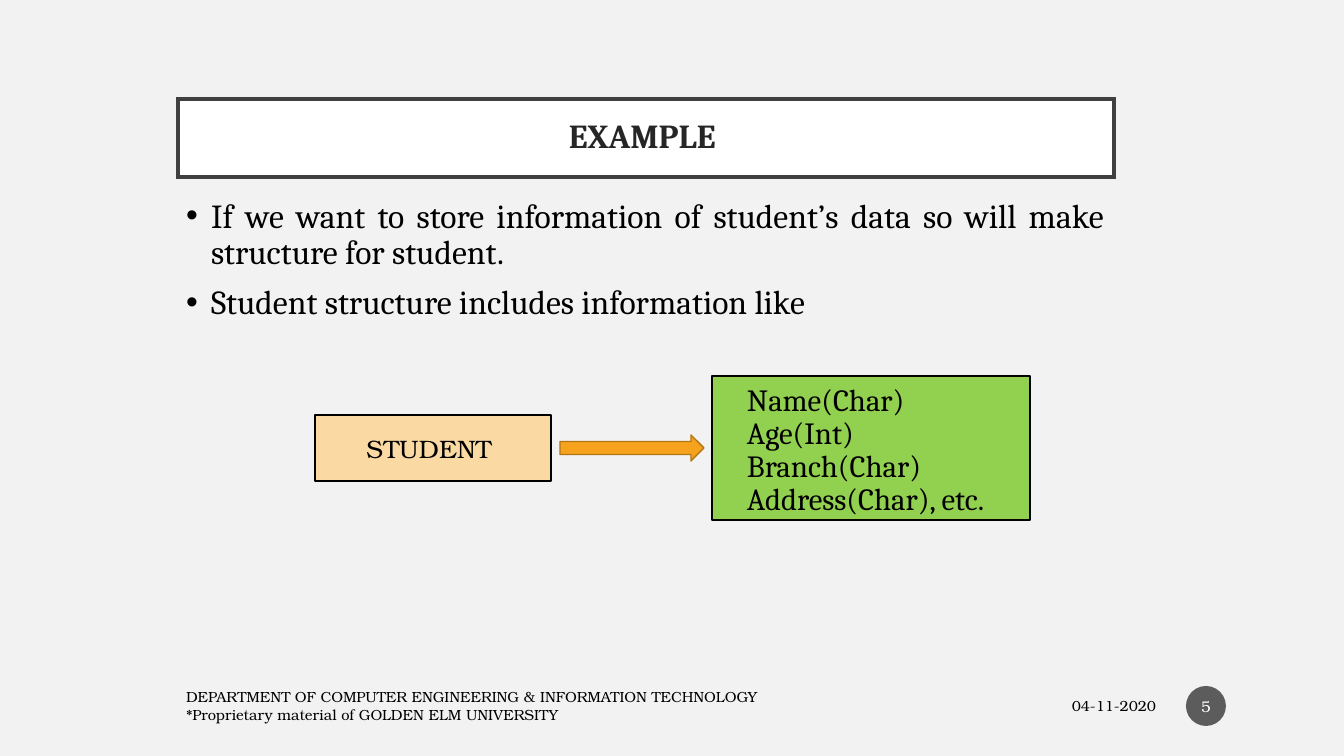
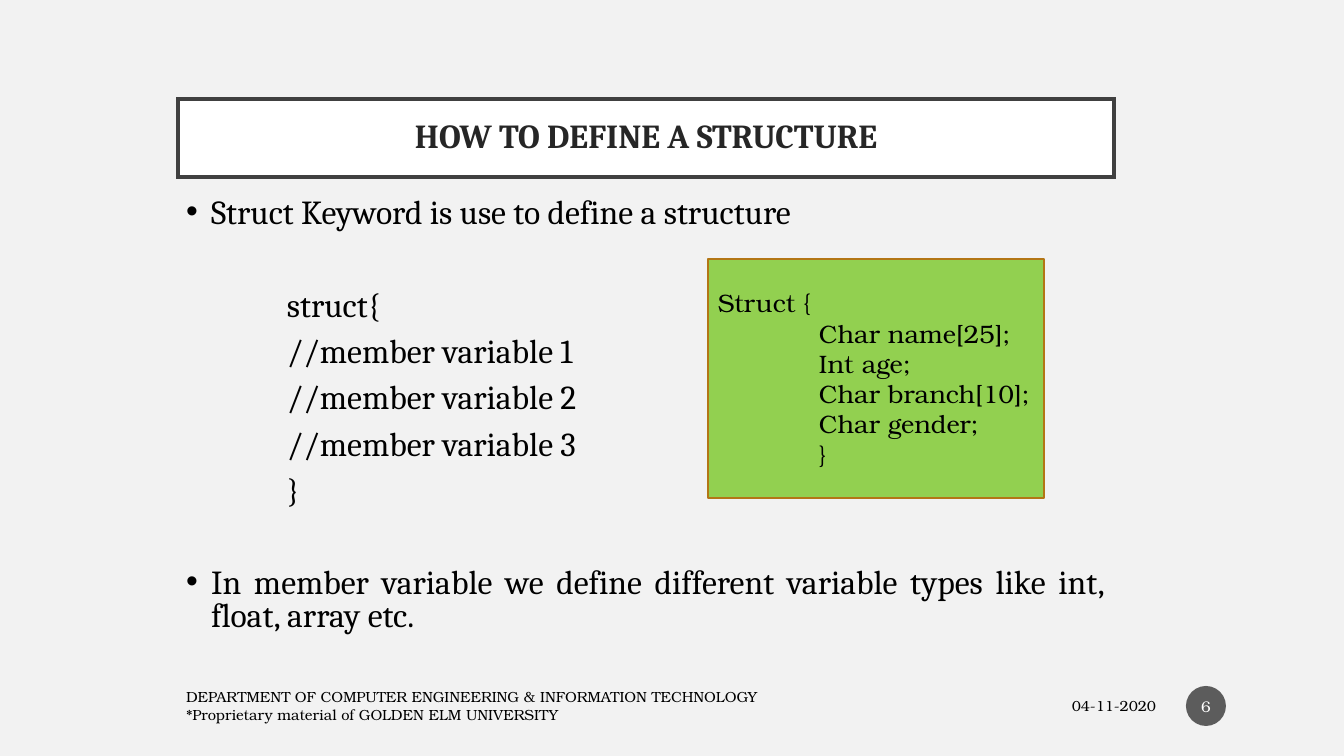
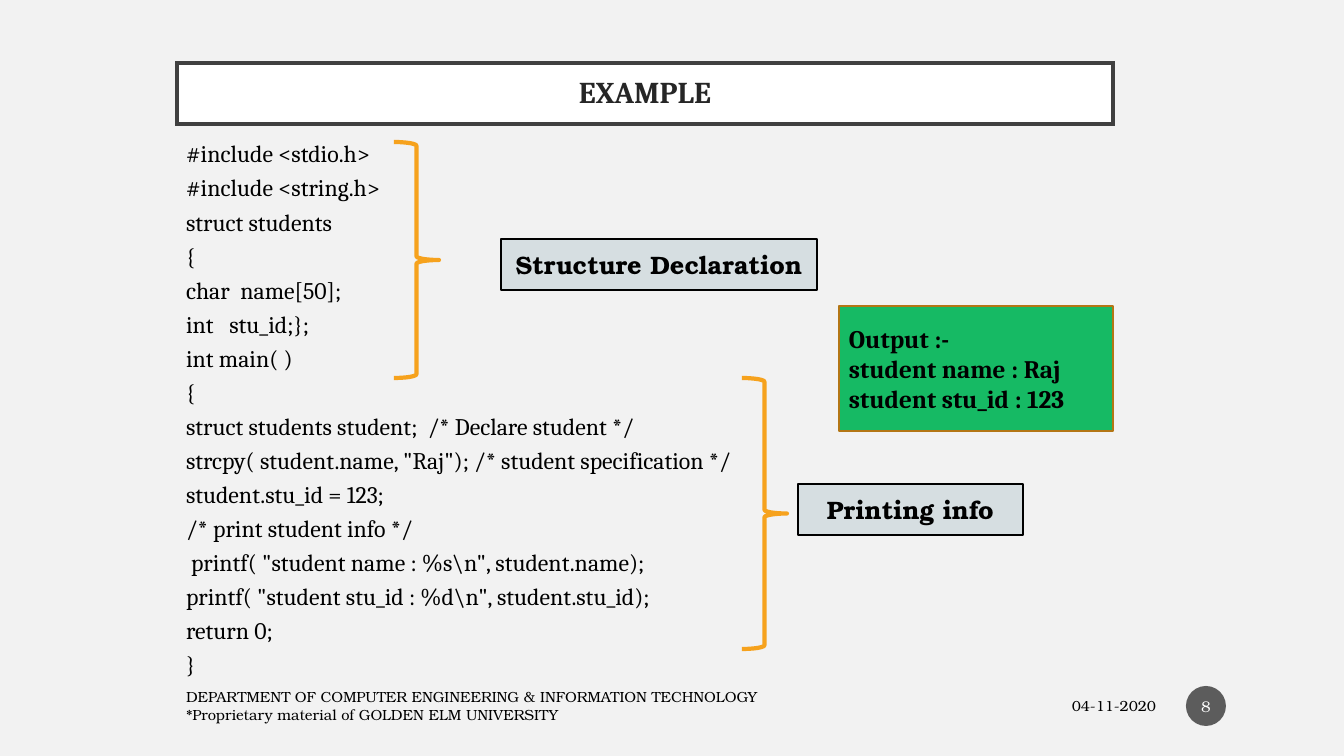
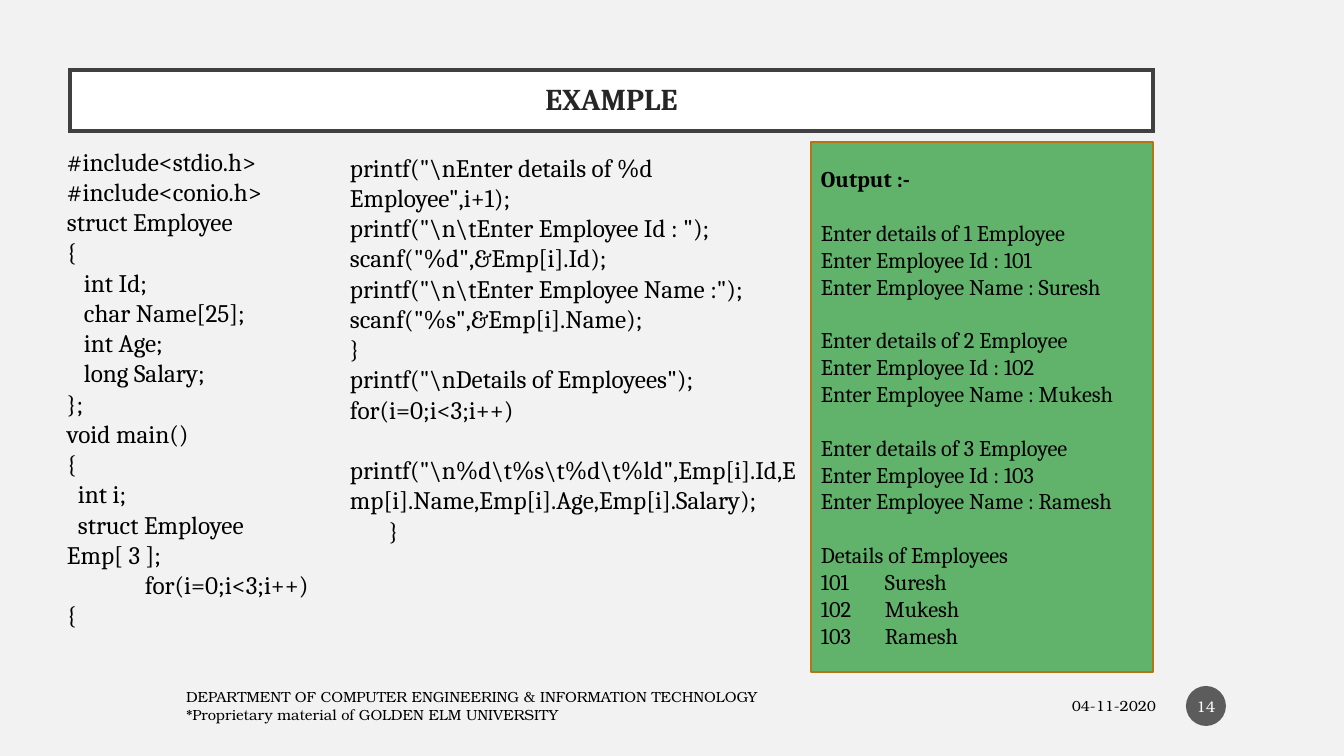
import pptx
import pptx.util
import pptx.dml.color
import pptx.enum.shapes
import pptx.enum.text
import pptx.oxml.ns
from lxml import etree

Pt = pptx.util.Pt
RGB = pptx.dml.color.RGBColor
KIND = pptx.enum.shapes.MSO_SHAPE
AL = pptx.enum.text.PP_ALIGN
ANC = pptx.enum.text.MSO_ANCHOR
FIT = pptx.enum.text.MSO_AUTO_SIZE
qn = pptx.oxml.ns.qn

# Scale, colours and fonts
PX = 914400 / 100.8
BACK, WHITE, BLACK = RGB(242, 242, 242), RGB(255, 255, 255), RGB(0, 0, 0)
INK, FRAME, DISC = RGB(0x26, 0x26, 0x26), RGB(0x40, 0x40, 0x40), RGB(0x1D, 0x1D, 0x1D)
ORANGE, BROWN, PEACH = RGB(0xF6, 0xA2, 0x1D), RGB(0xB3, 0x76, 0x15), RGB(0xFB, 0xD9, 0xA3)
LIME, GREEN, MOSS = RGB(0x92, 0xD0, 0x50), RGB(0x16, 0xBA, 0x64), RGB(0x61, 0xB3, 0x6B)
GREY = RGB(0xD6, 0xDE, 0xE1)
SERIF, WIDE = "Cambria", "TeX Gyre Bonum"

# Text styles
HEAD = dict(font=SERIF, size=24, bold=True, color=INK, al=AL.CENTER, gap=0.9)
HEAD2 = dict(HEAD, size=21.6)
LIST = dict(font=SERIF, size=24, al=AL.JUSTIFY, gap=0.9, before=10, left=0)
TIGHT = dict(LIST, gap=0.8)
CODE = dict(LIST, size=17, gap=0.7)
FIELD = dict(font=SERIF, size=22, gap=0.9)
PLAIN = dict(font=SERIF, size=18)
BOLD = dict(PLAIN, bold=True)
OUT = dict(PLAIN, size=16)
WORD = dict(font=WIDE, size=18)
MID = dict(WORD, al=AL.CENTER)
LABEL = dict(MID, bold=True)
FOOT = dict(font=WIDE, size=10.5)
DATE = dict(FOOT, al=AL.RIGHT)
PAGE = dict(font=WIDE, size=11, color=WHITE, al=AL.CENTER)

FOOTER = ["DEPARTMENT OF COMPUTER ENGINEERING & INFORMATION TECHNOLOGY",
          "*Proprietary material of GOLDEN ELM UNIVERSITY"]
DAY = "04-11-2020"

# Lines are strings, or (text, options): dot = bullet, left = indent and
# first = first-line indent in px, tab = tab stop in px, before = points above


def inset(px, *rows):
    return [(row, dict(left=px)) for row in rows]


def people(*names):
    rows = []
    for num, name in enumerate(names, 1):
        rows += [(f"Enter details of {num} Employee", dict(before=19.2)),
                 f"Enter Employee Id : {100 + num}",
                 f"Enter Employee Name : {name}"]
    rows.append(("Details of Employees", dict(before=19.2)))
    return rows + [(f"{100 + num}\t{name}", dict(tab=64))
                   for num, name in enumerate(names, 1)]


DOT = dict(dot=True)
SLIDES = [
    dict(page=5, title="EXAMPLE ", at=(178, 99, 936, 78), head=HEAD,
         body=((176, 194, 938, 472), LIST, [
             ("If we want to store information of student’s data so will make "
              "structure for student.", DOT),
             ("Student structure includes information like", DOT)]),
         parts=[
             (KIND.RECTANGLE, (712, 376, 318, 144), LIME, BLACK, FIELD,
              inset(25, "Name(Char)", "Age(Int)", "Branch(Char)", "Address(Char), etc."),
              (10, 6, 0)),
             (KIND.RECTANGLE, (315, 415, 236, 66), PEACH, BLACK, MID, ["STUDENT "]),
             (KIND.RIGHT_ARROW, (560, 435, 144, 26), ORANGE, BROWN, None, [])]),
    dict(page=6, title="HOW TO DEFINE A STRUCTURE", at=(178, 99, 936, 78), head=HEAD,
         body=((176, 194, 938, 472), TIGHT, [
             ("Struct Keyword is use to define a structure", DOT),
             ("struct{", dict(left=101, before=43)),
             *inset(101, "//member variable 1", "//member variable 2",
                    "//member variable 3", "}"),
             ("In member variable we define different variable types like int, "
              "float, array etc.", dict(dot=True, before=43))]),
         parts=[
             (KIND.RECTANGLE, (708, 259, 336, 239), LIME, BROWN, WORD,
              ["Struct {", *inset(101, "Char name[25];", "Int age;", "Char branch[10];",
                                  "Char gender;", "}")])]),
    dict(page=8, title="EXAMPLE", at=(177, 63, 936, 61), head=HEAD2,
         body=((176, 142, 936, 545), CODE, [
             "#include <stdio.h>", "#include <string.h>", "struct students", "{",
             "char  name[50];", "int   stu_id;};", "int main( )", "{",
             "struct students student;  /* Declare student */",
             'strcpy( student.name, "Raj"); /* student specification */',
             "student.stu_id = 123;", "/* print student info */",
             (r'printf( "student name : %s\n", student.name);', dict(left=5)),
             r'printf( "student stu_id : %d\n", student.stu_id);',
             "return 0;", "}"]),
         parts=[
             (KIND.RIGHT_BRACE, (394, 142, 45, 236), None, ORANGE, None, []),
             (KIND.RIGHT_BRACE, (742, 378, 45, 271), None, ORANGE, None, []),
             (KIND.RECTANGLE, (501, 239, 316, 51), GREY, BLACK, LABEL,
              ["Structure Declaration"]),
             (KIND.RECTANGLE, (798, 484, 225, 51), GREY, BLACK, LABEL, ["Printing info"]),
             (KIND.RECTANGLE, (839, 306, 274, 125), GREEN, BROWN, BOLD,
              ["Output :-", "student name : Raj", "student stu_id : 123"])]),
    dict(page=14, title="EXAMPLE", at=(70, 70, 1083, 61), head=HEAD2, body=None,
         parts=[
             (None, (57, 141, 268, 536), None, None, PLAIN, [
                 "#include<stdio.h>", "#include<conio.h>", "struct Employee", "{",
                 *inset(17, "int Id;", "char Name[25];", "int Age;", "long Salary;"),
                 "};", "void main()", "{",
                 ("int i;", dict(left=11)),
                 ("struct Employee Emp[ 3 ];", dict(first=11)),
                 ("for(i=0;i<3;i++)", dict(left=78)), "{"]),
             (None, (340, 147, 471, 407), None, None, PLAIN, [
                 r'printf("\nEnter details of %d Employee",i+1);',
                 r'printf("\n\tEnter Employee Id : ");', 'scanf("%d",&Emp[i].Id);',
                 r'printf("\n\tEnter Employee Name :");', 'scanf("%s",&Emp[i].Name);',
                 "}", r'printf("\nDetails of Employees");', "for(i=0;i<3;i++)",
                 (r'printf("\n%d\t%s\t%d\t%ld",Emp[i].Id,Emp[i].Name,Emp[i].Age,'
                  'Emp[i].Salary);', dict(before=21.6)),
                 ("}", dict(left=39))]),
             (KIND.RECTANGLE, (811, 142, 342, 530), MOSS, BROWN, OUT,
              [("Output :-", dict(bold=True)), *people("Suresh", "Mukesh", "Ramesh")])]),
]


def emu(px):
    return round(px * PX)


def place(shape, box):
    shape.left, shape.top, shape.width, shape.height = map(emu, box)


def paint(shape, fill, line, width=1):
    if fill is None:
        shape.fill.background()
    else:
        shape.fill.solid()
        shape.fill.fore_color.rgb = fill
    if line is None:
        shape.line.fill.background()
    else:
        shape.line.color.rgb = line
        shape.line.width = Pt(width)


def indent(par, look):
    prop = par._p.get_or_add_pPr()
    dot = look.get("dot")
    if dot or "left" in look or "first" in look:
        prop.set("marL", str(emu(25 if dot else look.get("left", 0))))
        prop.set("indent", str(emu(-25 if dot else look.get("first", 0))))
        if dot:
            etree.SubElement(prop, qn("a:buChar")).set("char", "•")
        else:
            etree.SubElement(prop, qn("a:buNone"))
    if "tab" in look:
        stops = etree.SubElement(prop, qn("a:tabLst"))
        etree.SubElement(stops, qn("a:tab"), pos=str(emu(look["tab"])), algn="l")


def write(shape, rows, style, anchor=ANC.MIDDLE, pad=(10, 5, 5)):
    frame = shape.text_frame
    frame.word_wrap = True
    frame.auto_size = FIT.NONE
    frame.vertical_anchor = anchor
    side, top, base = map(emu, pad)
    frame.margin_left = frame.margin_right = side
    frame.margin_top, frame.margin_bottom = top, base
    for num, row in enumerate(rows):
        text, more = (row, {}) if isinstance(row, str) else row
        look = {**style, **more}
        par = frame.paragraphs[0] if num == 0 else frame.add_paragraph()
        par.alignment = look.get("al", AL.LEFT)
        par.line_spacing = look.get("gap", 1.0)
        par.space_before = Pt(look.get("before", 0) if num else 0)
        indent(par, look)
        run = par.add_run()
        run.text = text
        run.font.name = look["font"]
        run.font.size = Pt(look["size"])
        run.font.bold = look.get("bold", False)
        run.font.color.rgb = look.get("color", BLACK)


def add(slide, kind, box, fill, line, style, rows, pad=(10, 5, 5)):
    spot = [emu(px) for px in box]
    if kind is None:
        shape = slide.shapes.add_textbox(*spot)
        write(shape, rows, style, ANC.TOP)
        return shape
    shape = slide.shapes.add_shape(kind, *spot)
    shape.shadow.inherit = False
    paint(shape, fill, line, 3 if kind == KIND.RIGHT_BRACE else 1)
    if rows:
        write(shape, rows, style, pad=pad)
    return shape


def footer(slide, page):
    for box, rows, style in [((176, 687, 650, 37), FOOTER, FOOT),
                             ((863, 687, 303, 37), [DAY], DATE)]:
        write(slide.shapes.add_textbox(*map(emu, box)), rows, style, pad=(10, 0, 0))
    disc = add(slide, KIND.OVAL, (1186, 686, 40, 40), DISC, None, PAGE, [str(page)],
               (2, 5, 5))
    tint = disc.fill._xPr.find(qn("a:solidFill"))[0]
    etree.SubElement(tint, qn("a:alpha")).set("val", "70000")


def build(deck, data):
    body = data["body"]
    slide = deck.slides.add_slide(deck.slide_layouts[1 if body else 5])
    # Title band with square corners
    title = slide.shapes.title
    place(title, data["at"])
    paint(title, WHITE, FRAME, 2.5)
    edge = title._element.spPr.find(qn("a:ln"))
    etree.SubElement(edge, qn("a:miter")).set("lim", "800000")
    write(title, [data["title"]], data["head"], pad=(20, 5, 5))
    if body:
        box, style, rows = body
        place(slide.placeholders[1], box)
        write(slide.placeholders[1], rows, style, ANC.TOP)
    for part in data["parts"]:
        add(slide, *part)
    footer(slide, data["page"])


def main():
    deck = pptx.Presentation()
    deck.slide_width, deck.slide_height = emu(1344), emu(756)
    back = deck.slide_master.background.fill
    back.solid()
    back.fore_color.rgb = BACK
    for data in SLIDES:
        build(deck, data)
    deck.save("out.pptx")


if __name__ == "__main__":
    main()
